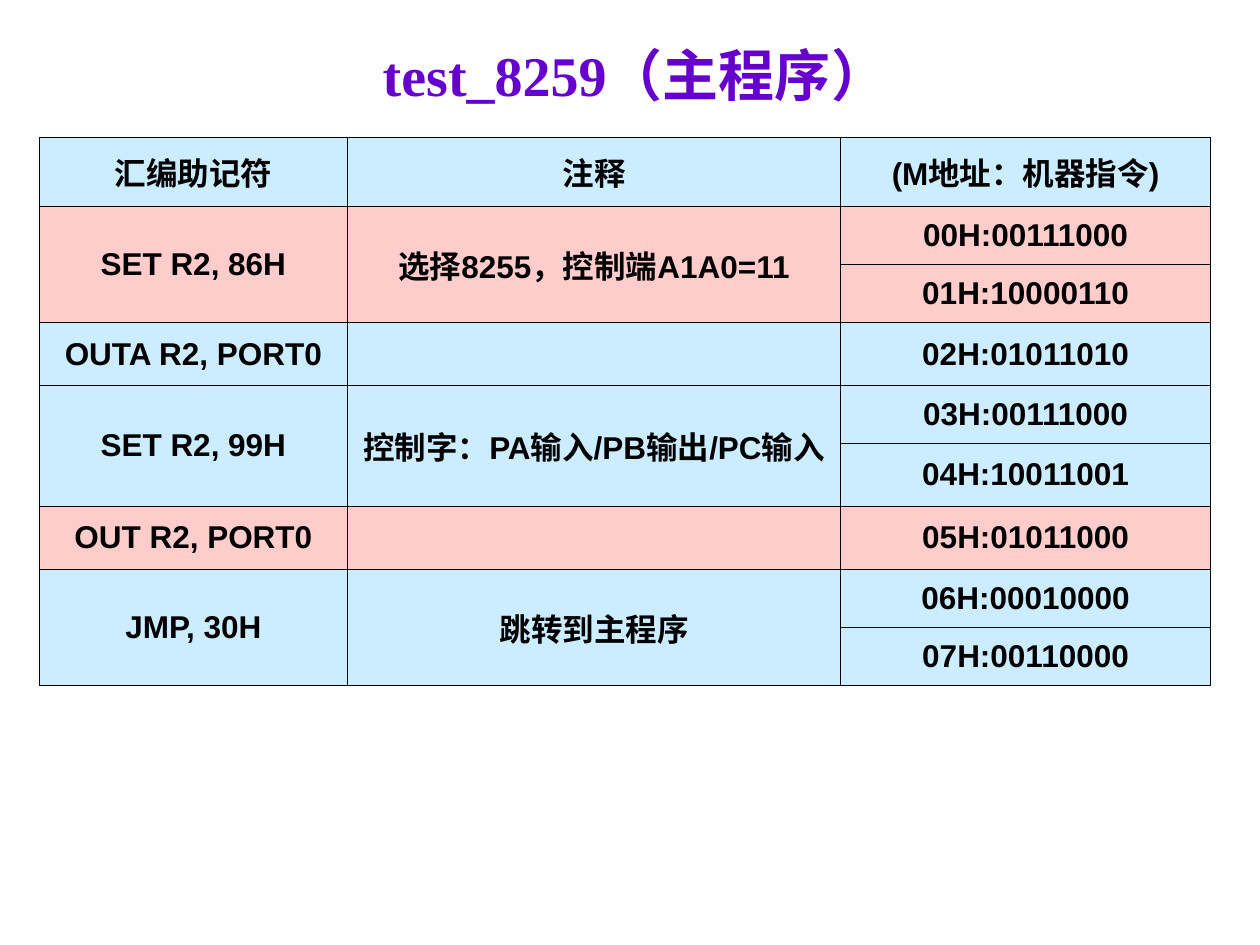
from lxml import etree
from pptx import Presentation
from pptx.dml.color import RGBColor
from pptx.enum.text import MSO_ANCHOR, PP_ALIGN
from pptx.oxml.ns import qn
from pptx.util import Inches, Pt

CENTER, MIDDLE = PP_ALIGN.CENTER, MSO_ANCHOR.MIDDLE
BLUE, PINK, BLACK, PURPLE = "CCECFF", "FFCCCC", "000000", "6600CC"
CJK_FONT = "Noto Sans CJK SC"


def color(value):
    return RGBColor.from_string(value)


def add_span(para, text, size, font, ink):
    span = para.add_run()
    span.text = text
    span.font.size = Pt(size)
    span.font.bold = True
    span.font.name = font
    span.font.color.rgb = color(ink)
    etree.SubElement(span.font._element, qn("a:ea"), typeface=CJK_FONT)


deck = Presentation()
deck.slide_width, deck.slide_height = Inches(10), Inches(7.5)
page = deck.slides.add_slide(deck.slide_layouts[6])

# Instructions: mnemonic, comment, machine codes (one per row), fill
instructions = [
    ("汇编助记符", "注释", ["(M地址：机器指令)"], BLUE),
    ("SET R2, 86H", "选择8255，控制端A1A0=11", ["00H:00111000", "01H:10000110"], PINK),
    ("OUTA R2, PORT0", "", ["02H:01011010"], BLUE),
    ("SET R2, 99H", "控制字：PA输入/PB输出/PC输入", ["03H:00111000", "04H:10011001"], BLUE),
    ("OUT R2, PORT0", "", ["05H:01011000"], PINK),
    ("JMP, 30H", "跳转到主程序", ["06H:00010000", "07H:00110000"], BLUE),
]
column_widths = [2.45, 3.91, 2.94]
row_heights = [0.55, 0.46, 0.46, 0.5, 0.46, 0.5, 0.5, 0.46, 0.46]
row_heights[3:7] = [0.5, 0.46, 0.5, 0.5]

# Table grid
table = page.shapes.add_table(
    len(row_heights), len(column_widths), Inches(0.31), Inches(1.09),
    Inches(sum(column_widths)), Inches(sum(row_heights))).table
table.first_row = table.horz_banding = False
for column, width in zip(table.columns, column_widths):
    column.width = Inches(width)
for row, height in zip(table.rows, row_heights):
    row.height = Inches(height)

# Cell borders
for cell in table.iter_cells():
    properties = cell._tc.get_or_add_tcPr()
    for side in ("a:lnL", "a:lnR", "a:lnT", "a:lnB"):
        line = etree.SubElement(properties, qn(side), w=str(Pt(0.45)))
        paint = etree.SubElement(line, qn("a:solidFill"))
        etree.SubElement(paint, qn("a:srgbClr"), val=BLACK)

# Cell fills and text; two-byte instructions span two rows
top = 0
for mnemonic, comment, codes, fill in instructions:
    bottom = top + len(codes) - 1
    for row in range(top, bottom + 1):
        for col, text in enumerate((mnemonic, comment, codes[row - top])):
            cell = table.cell(row, col)
            cell.fill.solid()
            cell.fill.fore_color.rgb = color(fill)
            cell.vertical_anchor = MIDDLE
            if text and (row == top or col == 2):
                para = cell.text_frame.paragraphs[0]
                para.alignment = CENTER
                indent = para._p.get_or_add_pPr()
                indent.set("marL", str(Inches(0.38)))
                indent.set("indent", str(-Inches(0.38)))
                add_span(para, text, 18, "Arial", BLACK)
    if bottom > top:
        for col in (0, 1):
            table.cell(top, col).merge(table.cell(bottom, col))
    top = bottom + 1

# Title
box = page.shapes.add_textbox(Inches(0.39), Inches(0.31), Inches(9.3), Inches(0.55))
frame = box.text_frame
frame.word_wrap = True
frame.vertical_anchor = MIDDLE
para = frame.paragraphs[0]
para.alignment = CENTER
add_span(para, "test_8259", 32, "Times New Roman", PURPLE)
add_span(para, "（主程序）", 32, CJK_FONT, PURPLE)

deck.save("out.pptx")
